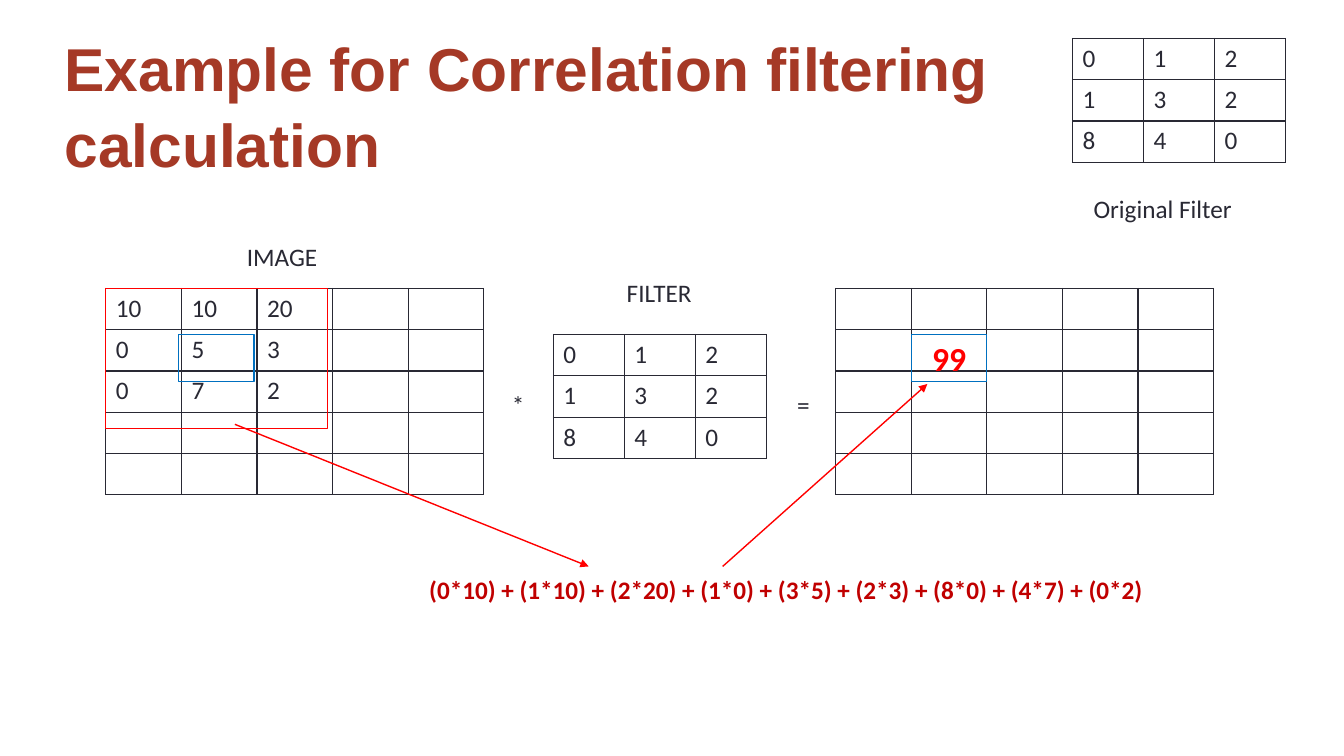
from dataclasses import dataclass

from lxml import etree
from pptx import Presentation
from pptx.dml.color import RGBColor
from pptx.enum import shapes, text
from pptx.oxml import ns
from pptx.util import Pt

INK = RGBColor(0x29, 0x29, 0x34)
RED = RGBColor(0xFF, 0x00, 0x00)
BLUE = RGBColor(0x00, 0x70, 0xC0)
DARK = RGBColor(0xC0, 0x00, 0x00)
RUST = RGBColor(0xA5, 0x39, 0x26)
ROW = 29.5


@dataclass
class Grid:
    left: float
    top: float
    size: int
    col: float
    rows: tuple = ()


@dataclass
class Label:
    words: str
    left: float
    top: float
    width: float
    color: RGBColor = INK
    bold: bool = False


@dataclass
class Frame:
    left: float
    top: float
    width: float
    height: float
    color: RGBColor
    words: str = ""


@dataclass
class Arrow:
    x1: float
    y1: float
    x2: float
    y2: float


KERNEL = ((0, 1, 2), (1, 3, 2), (8, 4, 0))
PIXELS = ((10, 10, 20), (0, 5, 3), (0, 7, 2))

GRIDS = [
    Grid(75.6, 206, 5, 54, PIXELS),
    Grid(395.3, 239, 3, 50.7, KERNEL),
    Grid(596.9, 206, 5, 54),
    Grid(766.1, 27.4, 3, 50.7, KERNEL),
]
FRAMES = [
    Frame(75.6, 206, 158.4, 100, RED),
    Frame(650.9, 239, 54, 33.6, BLUE, "99"),
    Frame(127.6, 239, 54, 33.6, BLUE),
]
LABELS = [
    Label("(0*10) + (1*10) + (2*20) + (1*0) + (3*5) + (2*3) + (8*0) + (4*7) + (0*2)",
          299.5, 406.8, 531.4, DARK, True),
    Label("*", 358.6, 274.3, 23.8),
    Label("=", 562.3, 274.3, 23.8),
    Label("IMAGE", 169.2, 168.5, 65.5),
    Label("FILTER", 440.6, 194.4, 61.2),
    Label("Original Filter", 774, 134.6, 114.5),
]
ARROWS = [
    Arrow(167.8, 303.1, 420.5, 404.6),
    Arrow(516.2, 404.6, 662.4, 274.3),
]


def style(para, size: float, color: RGBColor, bold: bool = False,
          face: str = "Calibri") -> None:
    for run in para.runs:
        font = run.font
        font.name, font.size, font.bold = face, Pt(size), bold
        font.color.rgb = color


def edge(cell) -> None:
    """Draw a thin dark border on all four sides of a cell."""
    props = cell._tc.get_or_add_tcPr()
    for spot, side in enumerate(("lnL", "lnR", "lnT", "lnB")):
        line = etree.Element(ns.qn(f"a:{side}"), w=str(Pt(1)))
        fill = etree.SubElement(line, ns.qn("a:solidFill"))
        etree.SubElement(fill, ns.qn("a:srgbClr"), val=str(INK))
        props.insert(spot, line)


def add_grid(slide, grid: Grid) -> None:
    size = grid.size
    table = slide.shapes.add_table(
        size, size, Pt(grid.left), Pt(grid.top),
        Pt(size * grid.col), Pt(size * ROW)).table
    table.first_row = table.horz_banding = False
    for row in table.rows:
        row.height = Pt(ROW)
    for col in table.columns:
        col.width = Pt(grid.col)
    for cell in table.iter_cells():
        cell.fill.background()
        edge(cell)
    for r, row in enumerate(grid.rows):
        for c, value in enumerate(row):
            para = table.cell(r, c).text_frame.paragraphs[0]
            para.text = str(value)
            style(para, 18, INK)


def add_frame(slide, frame: Frame) -> None:
    box = slide.shapes.add_shape(
        shapes.MSO_SHAPE.RECTANGLE, Pt(frame.left), Pt(frame.top),
        Pt(frame.width), Pt(frame.height))
    box.shadow.inherit = False
    box.fill.background()
    box.line.color.rgb = frame.color
    box.line.width = Pt(1)
    if frame.words:
        body = box.text_frame
        body.text = frame.words
        body.vertical_anchor = text.MSO_ANCHOR.MIDDLE
        para = body.paragraphs[0]
        para.alignment = text.PP_ALIGN.CENTER
        style(para, 24, RED, True)


def add_label(slide, label: Label) -> None:
    body = slide.shapes.add_textbox(
        Pt(label.left), Pt(label.top), Pt(label.width), Pt(29)).text_frame
    body.word_wrap = False
    body.auto_size = text.MSO_AUTO_SIZE.SHAPE_TO_FIT_TEXT
    body.text = label.words
    style(body.paragraphs[0], 18, label.color, label.bold)


def add_arrow(slide, arrow: Arrow) -> None:
    link = slide.shapes.add_connector(
        shapes.MSO_CONNECTOR.STRAIGHT, Pt(arrow.x1), Pt(arrow.y1),
        Pt(arrow.x2), Pt(arrow.y2))
    link.line.color.rgb = RED
    link.line.width = Pt(1)
    etree.SubElement(link.line._get_or_add_ln(), ns.qn("a:tailEnd"), type="triangle")
    etree.SubElement(link._element.spPr, ns.qn("a:effectLst"))


def add_title(slide) -> None:
    title = slide.shapes.title
    title.left, title.top = Pt(38.9), Pt(46)
    title.width, title.height = Pt(864), Pt(56.2)
    body = title.text_frame
    body.text = "Example for Correlation filtering calculation"
    body.word_wrap = True
    body.auto_size = text.MSO_AUTO_SIZE.NONE
    body.vertical_anchor = text.MSO_ANCHOR.MIDDLE
    para = body.paragraphs[0]
    para.alignment = text.PP_ALIGN.LEFT
    para.line_spacing = 1.05
    style(para, 43.2, RUST, True, "Arial")


def main() -> None:
    deck = Presentation()
    deck.slide_width, deck.slide_height = Pt(960), Pt(540)
    slide = deck.slides.add_slide(deck.slide_layouts[5])
    add_title(slide)
    for grid in GRIDS:
        add_grid(slide, grid)
    for frame in FRAMES:
        add_frame(slide, frame)
    for label in LABELS:
        add_label(slide, label)
    for arrow in ARROWS:
        add_arrow(slide, arrow)
    deck.save("out.pptx")


if __name__ == "__main__":
    main()
